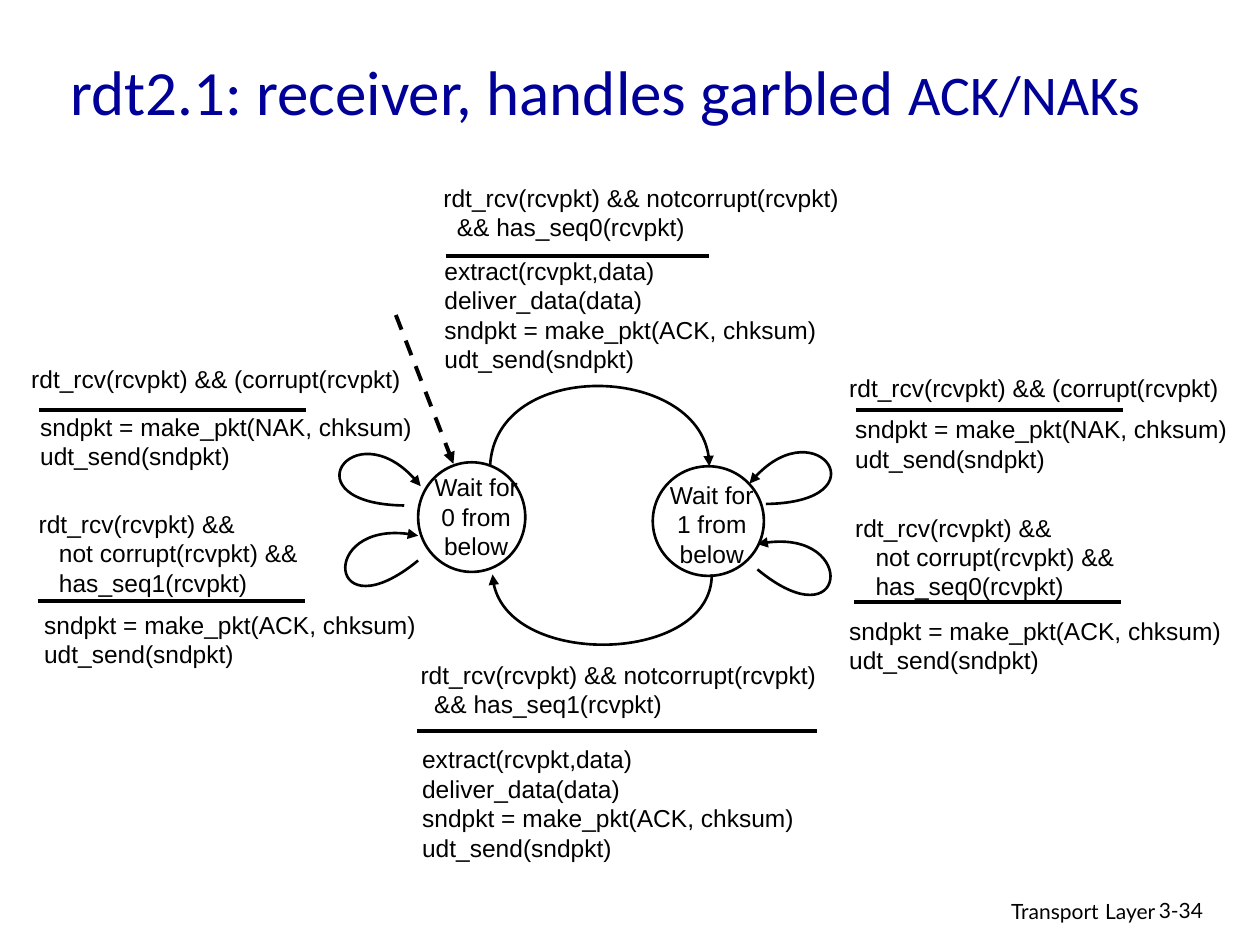
from lxml.etree import SubElement
from pptx import Presentation
from pptx.dml.color import RGBColor
from pptx.enum.dml import MSO_LINE
from pptx.enum.shapes import MSO_CONNECTOR, MSO_SHAPE
from pptx.enum.text import MSO_ANCHOR, PP_ALIGN
from pptx.oxml.ns import qn
from pptx.util import Cm, Pt

BLACK, WHITE, NAVY = "000000", "FFFFFF", "000099"
LABEL = {"name": "Arial", "size": Pt(14)}
FOOTER = {"name": "Lato", "size": Pt(12)}
LABEL_SPACING = Pt(16.8)
ACK = ["sndpkt = make_pkt(ACK, chksum)", "udt_send(sndpkt)"]
NAK = ["sndpkt = make_pkt(NAK, chksum)", "udt_send(sndpkt)"]
DELIVER = ["extract(rcvpkt,data)", "deliver_data(data)"] + ACK

# box origin, condition, indent, (rule left, rule top, rule length),
# (action left, action top), actions
TRANSITIONS = [
    ((8.69, 3.56), ["rdt_rcv(rcvpkt) && notcorrupt(rcvpkt)", "&& has_seq0(rcvpkt)"],
     0.27, (0.3, 1.6, 5.31), (0.02, 1.47), DELIVER),
    ((8.23, 13.18), ["rdt_rcv(rcvpkt) && notcorrupt(rcvpkt)", "&& has_seq1(rcvpkt)"],
     0.27, (0.18, 1.55, 8.05), (0.03, 1.7), DELIVER),
    ((0.38, 7.21), ["rdt_rcv(rcvpkt) && (corrupt(rcvpkt)"],
     0, (0.41, 1.05, 5.38), (0.18, 0.97), NAK),
    ((16.87, 7.39), ["rdt_rcv(rcvpkt) && (corrupt(rcvpkt)"],
     0, (0.38, 0.87, 5.38), (0.12, 0.84), NAK),
    ((0.53, 10.13), ["rdt_rcv(rcvpkt) &&", "not corrupt(rcvpkt) &&", "has_seq1(rcvpkt)"],
     0.41, (0.23, 1.99, 5.38), (0.11, 2.04), ACK),
    ((16.99, 10.21), ["rdt_rcv(rcvpkt) &&", "not corrupt(rcvpkt) &&", "has_seq0(rcvpkt)"],
     0.41, (0.23, 1.93, 5.38), (-0.12, 2.08), ACK),
]

# Bezier points relative to the state machine's origin
CURVES = [
    [(1.88, 0.4), (1.98, -1.79), (6.3, -1.66), (6.3, 0.4)],
    [(6.35, 2.58), (6.35, 4.39), (2.01, 4.49), (1.93, 2.58)],
    [(0.15, 1.19), (-2.21, 1.16), (-0.81, -0.85), (0.48, 0.8)],
    [(0.43, 2.3), (-1.4, 3.8), (-1.6, 1.36), (0.43, 1.8)],
    [(7.44, 1.16), (9.81, 1.13), (8.41, -0.87), (7.11, 0.75)],
    [(7.27, 2.48), (9.09, 3.98), (9.32, 1.54), (7.27, 1.97)],
]


def color(value):
    return RGBColor.from_string(value)


def add_text(slide, left, top, width, height, paragraphs, align=PP_ALIGN.LEFT,
             anchor=MSO_ANCHOR.TOP, spacing=None, indent=0):
    """Each paragraph is a list of (text, font values); indent skips the first."""
    box = slide.shapes.add_textbox(Cm(left), Cm(top), Cm(width), Cm(height))
    frame = box.text_frame
    frame.word_wrap = True
    frame.vertical_anchor = anchor
    for index, runs in enumerate(paragraphs):
        paragraph = frame.paragraphs[0] if index == 0 else frame.add_paragraph()
        paragraph.alignment = align
        if spacing:
            paragraph.line_spacing = spacing
        if indent and index:
            paragraph._p.get_or_add_pPr().set("marL", str(Cm(indent)))
        for text, values in runs:
            run = paragraph.add_run()
            run.text = text
            run.font.color.rgb = color(values.get("color", BLACK))
            for name in ("name", "size"):
                setattr(run.font, name, values[name])


def add_label(slide, left, top, width, height, lines, **options):
    add_text(slide, left, top, width, height, [[(line, LABEL)] for line in lines],
             spacing=LABEL_SPACING, **options)


def style_line(shape, width, arrow=False):
    shape.line.color.rgb = color(BLACK)
    shape.line.width = Pt(width)
    if arrow:
        SubElement(shape.line._get_or_add_ln(), qn("a:tailEnd"), type="triangle")


def add_line(slide, start, end):
    connector = slide.shapes.add_connector(
        MSO_CONNECTOR.STRAIGHT, *(Cm(value) for value in start + end))
    SubElement(connector._element.spPr, qn("a:effectLst"))
    return connector


def bezier_point(points, t):
    weights = ((1 - t) ** 3, 3 * t * (1 - t) ** 2, 3 * t ** 2 * (1 - t), t ** 3)
    return tuple(sum(w * p[axis] for w, p in zip(weights, points)) for axis in (0, 1))


def add_curved_arrow(slide, points):
    """Size a freeform to the curve, then make its path one cubic segment."""
    points = [(Cm(x), Cm(y)) for x, y in points]
    samples = [bezier_point(points, step / 40) for step in range(41)]
    builder = slide.shapes.build_freeform(*samples[0])
    builder.add_line_segments(samples[1:], close=False)
    shape = builder.convert_to_shape()
    path = shape._element.spPr.find(".//" + qn("a:path"))
    for segment in path.findall(qn("a:lnTo")):
        path.remove(segment)
    curve = SubElement(path, qn("a:cubicBezTo"))
    for x, y in points[1:]:
        SubElement(curve, qn("a:pt"), x=str(x - shape.left), y=str(y - shape.top))
    shape.shadow.inherit = False
    shape.fill.background()
    style_line(shape, 1.5, arrow=True)


def add_state(slide, left, top, width, height, number, text_offset):
    circle = slide.shapes.add_shape(
        MSO_SHAPE.OVAL, Cm(left), Cm(top), Cm(width), Cm(height))
    circle.shadow.inherit = False
    circle.fill.solid()
    circle.fill.fore_color.rgb = color(WHITE)
    style_line(circle, 1.5)
    dx, dy = text_offset
    add_label(slide, left + dx, top + dy, 2.24, 1.7,
              ["Wait for", f"{number} from below"], align=PP_ALIGN.CENTER)


def add_state_machine(slide, left, top):
    add_state(slide, left + 0.43, top + 0.32, 2.16, 2.21, 0, (0.05, 0.08))
    add_state(slide, left + 5.16, top + 0.4, 2.24, 2.21, 1, (0.07, 0.15))
    start_arrow = add_line(slide, (left - 0.02, top - 2.65), (left + 1.14, top + 0.35))
    start_arrow.line.dash_style = MSO_LINE.DASH
    style_line(start_arrow, 2.25, arrow=True)
    for points in CURVES:
        add_curved_arrow(slide, [(left + x, top + y) for x, y in points])


def add_transition(slide, origin, condition, indent, rule, action_offset, actions):
    """Condition above a rule, actions below it."""
    left, top = origin
    add_label(slide, left, top, 10 if indent == 0.27 else 8.2, 1.6, condition, indent=indent)
    rule_left, rule_top, length = rule
    line = add_line(slide, (left + rule_left, top + rule_top),
                    (left + rule_left + length, top + rule_top))
    style_line(line, 2.25)
    dx, dy = action_offset
    add_label(slide, left + dx, top + dy, 8.4, 0.25 + 0.6 * len(actions), actions)


def add_title(slide, left, top, width, height):
    font = {"name": "Calibri", "color": NAVY}
    add_text(slide, left, top, width, height,
             [[("rdt2.1: receiver, handles garbled ", font | {"size": Pt(36)}),
               ("ACK/NAKs", font | {"size": Pt(32)})]], anchor=MSO_ANCHOR.MIDDLE)


def add_footer(slide, left, top):
    add_text(slide, left, top, 8.05, 0.79,
             [[("Transport", FOOTER), (" ", FOOTER | {"size": Pt(14)}), ("Layer", FOOTER)]],
             align=PP_ALIGN.RIGHT)
    add_text(slide, left + 7.62, top + 0.05, 1.88, 0.76, [[("3-34", FOOTER)]])


def main():
    presentation = Presentation()
    presentation.slide_width, presentation.slide_height = Cm(25.4), Cm(19.05)
    slide = presentation.slides.add_slide(presentation.slide_layouts[6])
    add_footer(slide, 15.49, 17.91)
    add_state_machine(slide, 8, 9)
    for transition in TRANSITIONS:
        add_transition(slide, *transition)
    add_title(slide, 1.17, 0.51, 23.11, 2.62)
    presentation.save("out.pptx")


if __name__ == "__main__":
    main()
